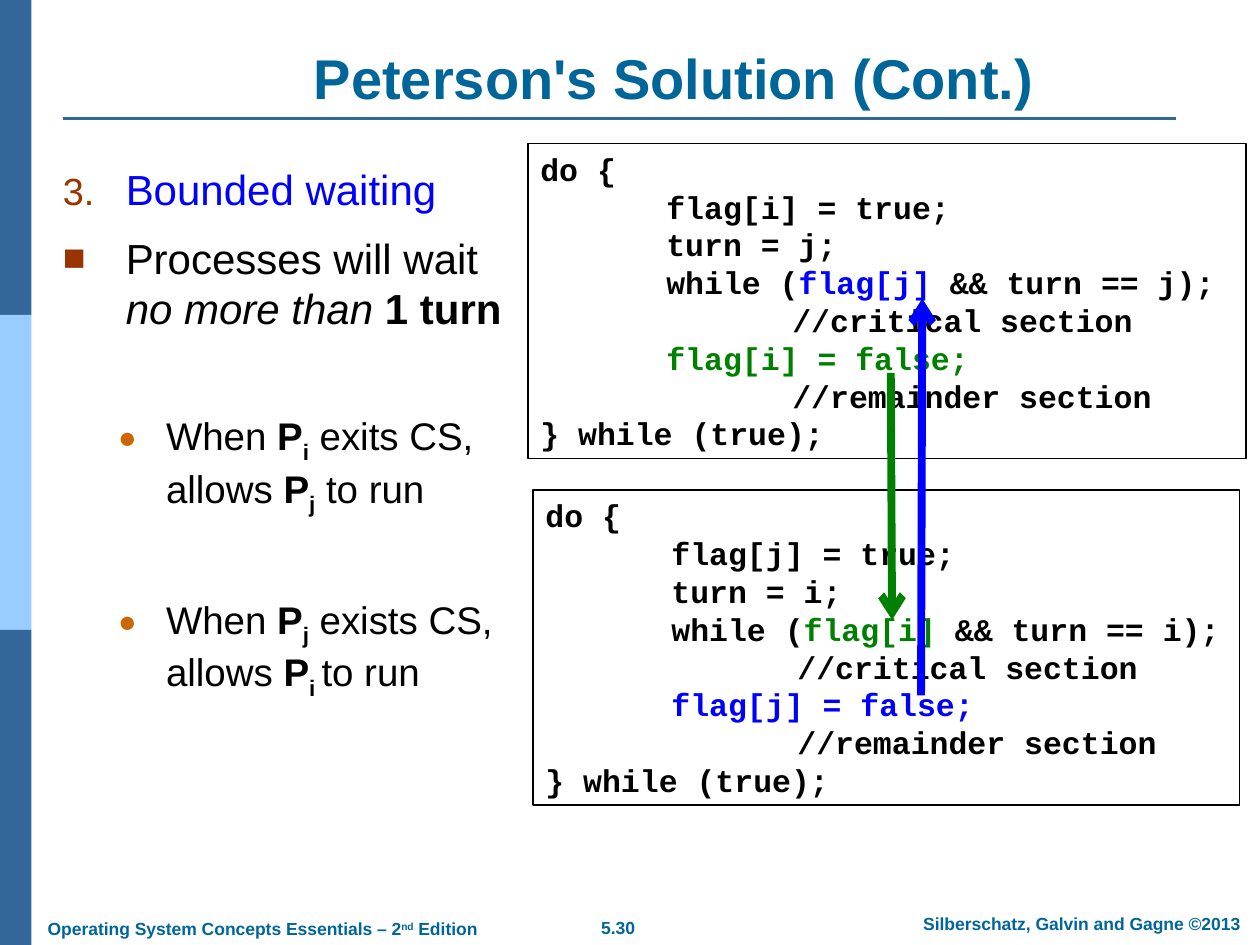
from lxml import etree
from pptx import Presentation
from pptx.dml.color import RGBColor
from pptx.enum import shapes, text
from pptx.oxml.ns import qn
from pptx.util import Inches, Pt

NAVY = RGBColor(0x33, 0x66, 0x99)
SKY = RGBColor(0x99, 0xCC, 0xFF)
TEAL = RGBColor(0x00, 0x66, 0x99)
BLACK = RGBColor(0, 0, 0)
BLUE = RGBColor(0, 0, 0xFF)
GREEN = RGBColor(0, 0x80, 0)
RUST = RGBColor(0x99, 0x33, 0x00)
ORANGE = RGBColor(0xCC, 0x66, 0x00)
LEFT, CENTER = text.PP_ALIGN.LEFT, text.PP_ALIGN.CENTER


def add_run(p, words, size, color, bold=False, italic=False, baseline=0, font="Arial"):
    """Append one formatted run to a paragraph."""
    r = p.add_run()
    r.text = words
    r.font.name, r.font.size = font, Pt(size)
    r.font.bold, r.font.italic = bold, italic
    r.font.color.rgb = color
    if baseline:
        r._r.get_or_add_rPr().set("baseline", str(baseline * 1000))


def add_textbox(slide, box, wrap=True):
    """Add a text box and return its text frame."""
    tf = slide.shapes.add_textbox(*map(Inches, box)).text_frame
    tf.word_wrap = wrap
    return tf


def add_line(slide, start, end, color, width, arrow=False):
    """Draw a straight line, with an arrowhead at its end if asked."""
    line = slide.shapes.add_connector(
        shapes.MSO_CONNECTOR.STRAIGHT, *map(Inches, (*start, *end)))
    line.line.color.rgb = color
    line.line.width = Pt(width)
    if arrow:
        etree.SubElement(line.line._get_or_add_ln(), qn("a:tailEnd"), type="arrow")
    etree.SubElement(line._element.spPr, qn("a:effectLst"))


def add_sidebar(slide, left, top, width, height):
    """Stack three equal colour bands in the given box."""
    band = height / 3
    for i, color in enumerate((NAVY, SKY, NAVY)):
        sp = slide.shapes.add_shape(
            shapes.MSO_SHAPE.RECTANGLE,
            *map(Inches, (left, top + i * band, width, band)))
        sp.shadow.inherit = False
        sp.fill.solid()
        sp.fill.fore_color.rgb = color
        sp.line.fill.background()


def add_title(slide, box, words):
    """Place the bottom-anchored slide title."""
    tf = add_textbox(slide, box)
    tf.vertical_anchor = text.MSO_ANCHOR.BOTTOM
    tf.paragraphs[0].alignment = CENTER
    add_run(tf.paragraphs[0], words, 32, TEAL, bold=True)


def add_footer(slide, box, parts, align, wrap):
    """Place one footer text made of (words, baseline) parts."""
    p = add_textbox(slide, box, wrap).paragraphs[0]
    p.alignment = align
    for words, baseline in parts:
        add_run(p, words, 10, TEAL, bold=True, baseline=baseline)


def set_bullet(p, margin, indent, color, percent, char=None, start=None):
    """Give a paragraph a hanging bullet character or number."""
    pPr = p._p.get_or_add_pPr()
    pPr.set("marL", str(Inches(margin)))
    pPr.set("indent", str(Inches(indent)))
    clr = etree.SubElement(pPr, qn("a:buClr"))
    etree.SubElement(clr, qn("a:srgbClr"), val=str(color))
    etree.SubElement(pPr, qn("a:buSzPct"), val=str(percent * 1000))
    etree.SubElement(pPr, qn("a:buFont"), typeface="Arial")
    if char:
        etree.SubElement(pPr, qn("a:buChar"), char=char)
    else:
        etree.SubElement(pPr, qn("a:buAutoNum"), type="arabicPeriod", startAt=str(start))


def add_points(slide, box):
    """Write the bounded waiting argument as a two-level list."""
    tf = add_textbox(slide, box)
    bold, sub = {"bold": True}, {"bold": True, "baseline": -25}
    points = [
        (0, None, 0, BLUE, [("Bounded waiting", {})]),
        (0, "■", 10.5, BLACK, [("Processes will wait ", {}),
                               ("no more than ", {"italic": True}), ("1 turn", bold)]),
        (1, "●", 45, BLACK, [("When ", {}), ("P", bold), ("i", sub),
                             (" exits CS, allows ", {}), ("P", bold), ("j", sub),
                             (" to run", {})]),
        (1, "●", 45, BLACK, [("When ", {}), ("P", bold), ("j", sub),
                             (" exists CS, allows ", {}), ("P", bold), ("i ", sub),
                             ("to run", {})]),
    ]
    levels = [(24, (0.56, -0.5, RUST, 90)), (22, (0.88, -0.38, ORANGE, 80))]
    for i, (level, char, before, color, parts) in enumerate(points):
        p = tf.add_paragraph() if i else tf.paragraphs[0]
        size, bullet = levels[level]
        set_bullet(p, *bullet, char=char, start=3)
        p.level = level
        if before:
            p.space_before = Pt(before)
        for words, style in parts:
            add_run(p, words, size, color, **style)


def add_code(slide, box, own, other, own_color, other_color):
    """Frame the code of one process, with its flags coloured."""
    sp = slide.shapes.add_shape(shapes.MSO_SHAPE.RECTANGLE, *map(Inches, box))
    sp.shadow.inherit = False
    sp.fill.background()
    sp.line.color.rgb = BLACK
    sp.line.width = Pt(0.75)
    tf = sp.text_frame
    tf.word_wrap = True
    tf.vertical_anchor = text.MSO_ANCHOR.TOP
    lines = [
        [("do {", BLACK)],
        [(f"\tflag[{own}] = true;", BLACK)],
        [(f"\tturn = {other};", BLACK)],
        [("\twhile (", BLACK), (f"flag[{other}] ", other_color),
         (f"&& turn == {other});", BLACK)],
        [("\t\t//critical section", BLACK)],
        [(f"\tflag[{own}] = false;", own_color)],
        [("\t\t//remainder section", BLACK)],
        [("} while (true);", BLACK)],
    ]
    for i, parts in enumerate(lines):
        p = tf.add_paragraph() if i else tf.paragraphs[0]
        tabs = etree.SubElement(p._p.get_or_add_pPr(), qn("a:tabLst"))
        for stop in (1, 2):
            etree.SubElement(tabs, qn("a:tab"), pos=str(Inches(stop)), algn="l")
        p.alignment = LEFT
        for words, color in parts:
            add_run(p, words, 18, color, bold=True, font="Courier New")


def main():
    """Build the slide and save it."""
    prs = Presentation()
    prs.slide_width, prs.slide_height = Inches(10), Inches(7.5)
    s = prs.slides.add_slide(prs.slide_layouts[6])
    add_sidebar(s, 0, 0, 0.25, 7.5)
    add_line(s, (0.5, 0.94), (9.33, 0.94), NAVY, 1.5)
    add_footer(s, (4.41, 7.23, 0.99, 0.27), [("5.30", 0)], CENTER, False)
    add_footer(s, (7.1, 7.2, 2.97, 0.27),
               [("Silberschatz, Galvin and Gagne ©2013", 0)], CENTER, True)
    add_footer(s, (0.28, 7.24, 3.61, 0.27),
               [("Operating System Concepts Essentials – 2", 0), ("nd", 30),
                (" Edition", 0)], LEFT, False)
    add_title(s, (1.2, 0.3, 8.3, 0.63), "Peterson's Solution (Cont.)")
    add_points(s, (0.34, 1.25, 3.76, 5.62))
    add_code(s, (4.19, 1.14, 5.7, 2.5), "i", "j", GREEN, BLUE)
    add_code(s, (4.23, 3.89, 5.61, 2.5), "j", "i", BLUE, GREEN)
    add_line(s, (7.31, 5.52), (7.32, 2.37), BLUE, 4.5, arrow=True)
    add_line(s, (7.07, 2.96), (7.08, 4.92), GREEN, 4.5, arrow=True)
    prs.save("out.pptx")


if __name__ == "__main__":
    main()
